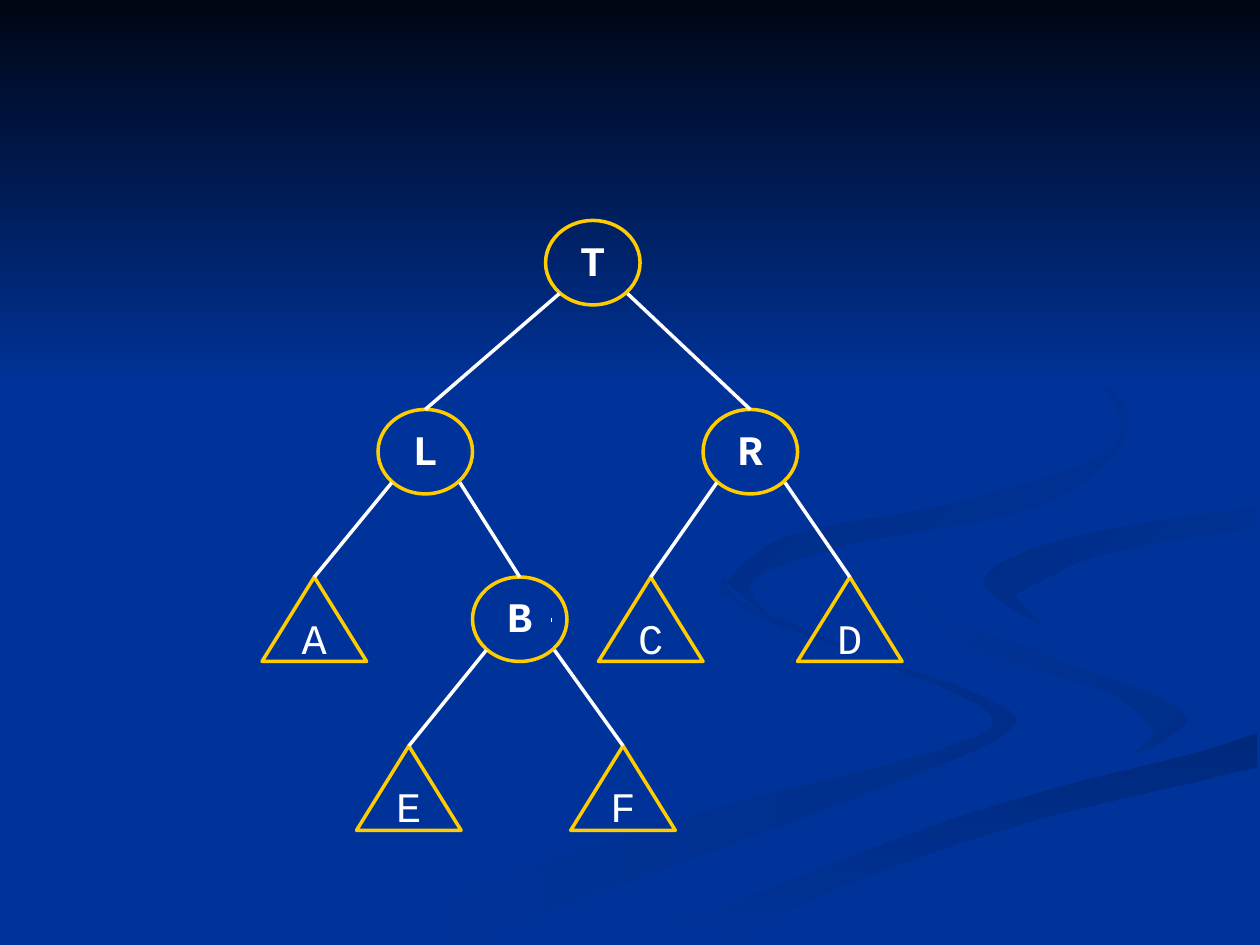
"""Build a slide with a binary tree of round nodes and triangular subtrees."""
from lxml.etree import SubElement
from pptx import Presentation
from pptx.dml.color import RGBColor
from pptx.enum.shapes import MSO_CONNECTOR, MSO_SHAPE
from pptx.enum.text import MSO_ANCHOR, PP_ALIGN
from pptx.oxml.ns import qn
from pptx.util import Inches, Pt

COLORS = {
    "blue": "003399", "night": "000514", "gold": "FFCC00", "white": "FFFFFF",
    "shade": "002E8A", "deep": "00297C", "dusk": "002C85", "dark": "002B81",
}
RIBBONS = [
    ("shade", "blue", 180,
     [(575, 459), (594, 485), (682, 519), (781, 553), (800, 581), (676, 634), (361, 749)],
     [(300, 749), (417, 690), (579, 639), (749, 594), (785, 566), (697, 525), (570, 470)]),
    ("shade", "blue", 225,
     [(724, 464), (745, 490), (830, 519), (919, 547), (943, 573), (894, 605)],
     [(917, 581), (880, 549), (781, 518), (733, 483)]),
    ("deep", "blue", 90,
     [(503, 749), (630, 693), (764, 647), (998, 581)],
     [(998, 609), (821, 651), (670, 702), (571, 749)]),
    ("blue", "blue", 90,
     [(477, 749), (619, 684), (843, 618), (943, 570), (830, 519), (725, 464),
      (788, 422), (999, 387)],
     [(999, 402), (835, 430), (782, 460), (848, 503), (999, 538), (999, 581),
      (764, 647), (503, 749)]),
    ("blue", "dusk", 225,
     [(826, 496), (781, 460), (849, 427), (998, 402)],
     [(998, 420), (878, 439), (805, 472)]),
    ("blue", "dark", 225,
     [(762, 233), (864, 291), (894, 344), (825, 402), (683, 430), (597, 461), (622, 500)],
     [(577, 462), (625, 426), (763, 398), (876, 360), (885, 320), (846, 279)]),
]
NODES = [
    ("T", 4.33, 1.75), ("L", 3, 3.25), ("R", 5.58, 3.25), ("A", 2.08, 4.58),
    ("B", 3.75, 4.58), ("C", 4.75, 4.58), ("D", 6.33, 4.58),
    ("E", 2.83, 5.92), ("F", 4.53, 5.92),
]
CHILDREN = {"T": "LR", "L": "AB", "R": "CD", "B": "EF"}


def smooth(points, steps=6):
    padded = [points[0], *points, points[-1]]
    curve = []
    for a, b, c, d in zip(padded, padded[1:], padded[2:], padded[3:]):
        for i in range(steps):
            t = i / steps
            curve.append(tuple(
                q + t * ((w - o) + t * ((2 * o - 5 * q + 4 * w - z)
                                        + t * (3 * q - o - 3 * w + z))) / 2
                for o, q, w, z in zip(a, b, c, d)))
    return curve + [points[-1]]


def add_line(x1, y1, x2, y2):
    line = s.shapes.add_connector(
        MSO_CONNECTOR.STRAIGHT, Inches(x1), Inches(y1), Inches(x2), Inches(y2))
    line.line.color.rgb = RGBColor.from_string(COLORS["white"])
    line.line.width = Pt(2)
    SubElement(line._element.spPr, qn("a:effectLst"))
    return line


prs = Presentation()
prs.slide_width, prs.slide_height = Inches(10), Inches(7.5)
s = prs.slides.add_slide(prs.slide_layouts[6])
s.background.fill.solid()
s.background.fill.fore_color.rgb = RGBColor.from_string(COLORS["blue"])

bands = []
for start, end, angle, outer, inner in RIBBONS:
    outline = smooth(outer) + smooth(inner)
    builder = s.shapes.build_freeform(*outline[0], scale=Inches(0.01))
    builder.add_line_segments(outline[1:], close=True)
    bands.append((builder.convert_to_shape(), start, end, angle))
sky = s.shapes.add_shape(MSO_SHAPE.RECTANGLE, 0, 0, prs.slide_width, Inches(3.08))
bands.append((sky, "night", "blue", 90))

for sp, start, end, angle in bands:
    sp.shadow.inherit = False
    sp.line.fill.background()
    sp.fill.gradient()
    sp.fill.gradient_angle = 360 - angle
    for stop, name in zip(sp.fill.gradient_stops, (start, end)):
        stop.color.rgb = RGBColor.from_string(COLORS[name])

shapes = {}
for label, x, y in NODES:
    inner = label in CHILDREN
    kind = MSO_SHAPE.OVAL if inner else MSO_SHAPE.ISOSCELES_TRIANGLE
    width = 0.75 if inner else 0.83
    sp = s.shapes.add_shape(kind, Inches(x), Inches(y), Inches(width), Inches(0.67))
    sp.shadow.inherit = False
    sp.fill.background()
    sp.line.color.rgb = RGBColor.from_string(COLORS["gold"])
    sp.line.width = Pt(2)
    tf = sp.text_frame
    tf.word_wrap = False
    tf.vertical_anchor = MSO_ANCHOR.MIDDLE
    p = tf.paragraphs[0]
    p.alignment = PP_ALIGN.CENTER
    p.line_spacing = 0.9
    p.space_before = Pt(6)
    r = p.add_run()
    r.text = label
    r.font.name = "Courier New"
    r.font.size = Pt(24)
    r.font.bold = inner
    r.font.color.rgb = RGBColor.from_string(COLORS["white"])
    shapes[label] = sp

for label, x, y in NODES:
    for child, side in zip(CHILDREN.get(label, ""), (-1, 1)):
        start_x, start_y = x + 0.38 + side * 0.27, y + 0.58
        line = add_line(start_x, start_y, start_x, start_y)
        line.end_connect(shapes[child], 0)

add_line(4.37, 4.92, 4.38, 4.92)

prs.save("out.pptx")
